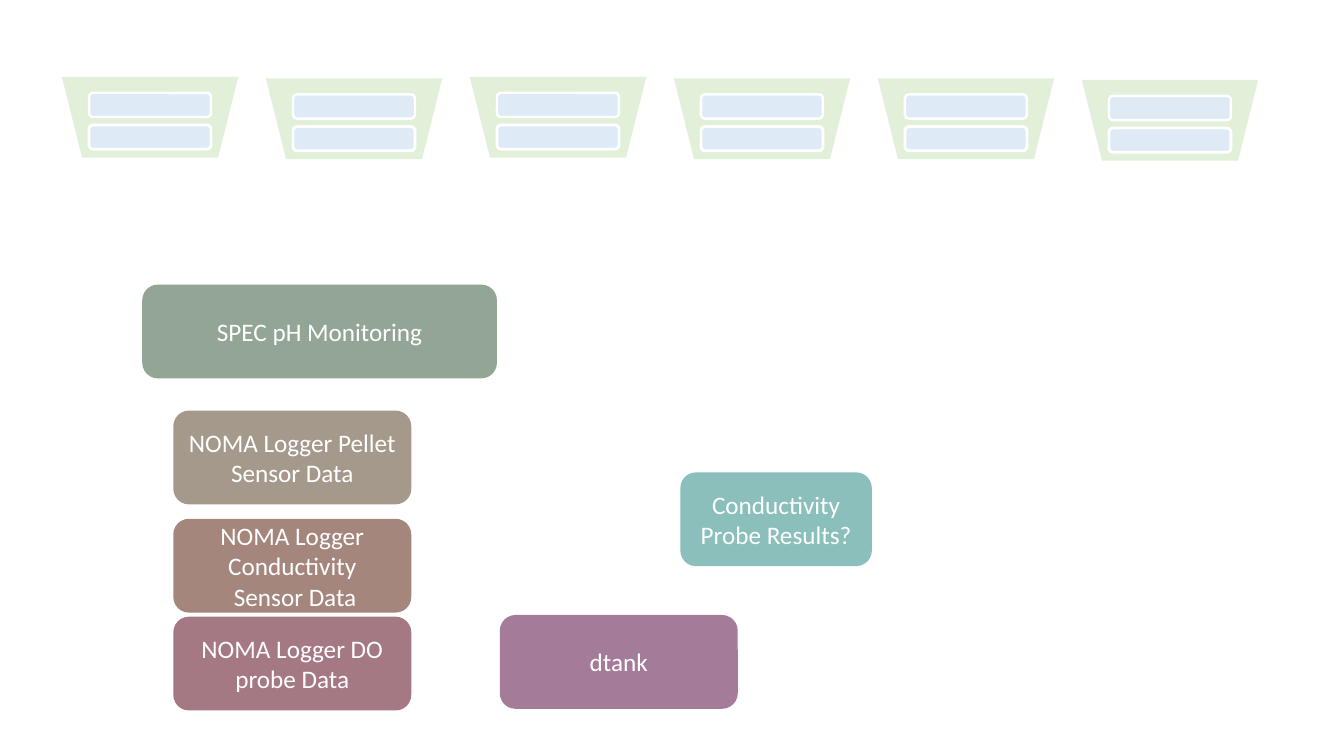
from pptx import Presentation
from pptx import util as u
from pptx.dml.color import RGBColor
from pptx.enum import shapes, text

WHITE = RGBColor(0xFF, 0xFF, 0xFF)
TANK_GREEN = RGBColor(0xE2, 0xF0, 0xD9)
TRAY_BLUE = RGBColor(0xDE, 0xEB, 0xF7)
SAGE = RGBColor(0x93, 0xA5, 0x94)
TAUPE = RGBColor(0xA5, 0x99, 0x8C)
CLAY = RGBColor(0xA5, 0x86, 0x7C)
ROSE = RGBColor(0xA5, 0x79, 0x83)
MAUVE = RGBColor(0xA5, 0x7B, 0x9A)
TEAL = RGBColor(0x8A, 0xBF, 0xBB)


class Board:
    """Holds the style and the current slide; lengths are in points."""
    font = "Calibri"
    size = 18
    box_height = 67

    def __init__(self, slide):
        self.slide = slide

    def block(self, kind, left, top, width, height, fill, border=0):
        block = self.slide.shapes.add_shape(
            kind, u.Pt(left), u.Pt(top), u.Pt(width), u.Pt(height))
        block.shadow.inherit = False
        block.fill.solid()
        block.fill.fore_color.rgb = fill
        if border:
            block.line.color.rgb = WHITE
            block.line.width = u.Pt(border)
        else:
            block.line.fill.background()
        return block

    def tank(self, left, top):
        basin = self.block(shapes.MSO_SHAPE.TRAPEZOID, left, top, 126, 57.6, TANK_GREEN)
        basin.rotation = 180
        for drop, border in ((11.4, 1.75), (34.4, 2)):
            self.block(shapes.MSO_SHAPE.ROUNDED_RECTANGLE,
                       left + 19.4, top + drop, 87.1, 17.3, TRAY_BLUE, border)

    def data_box(self, left, top, width, fill, *lines):
        box = self.block(shapes.MSO_SHAPE.ROUNDED_RECTANGLE,
                         left, top, width, self.box_height, fill)
        frame = box.text_frame
        frame.word_wrap = True
        frame.vertical_anchor = text.MSO_ANCHOR.MIDDLE
        for number, line in enumerate(lines):
            paragraph = frame.add_paragraph() if number else frame.paragraphs[0]
            paragraph.alignment = text.PP_ALIGN.CENTER
            run = paragraph.add_run()
            run.text = line
            run.font.name = self.font
            run.font.size = u.Pt(self.size)
            run.font.color.rgb = WHITE


deck = Presentation()
deck.slide_width, deck.slide_height = u.Pt(960), u.Pt(540)
board = Board(deck.slides.add_slide(deck.slide_layouts[6]))

# Row of tanks, evenly spaced, each with two trays
TANK_LEFT, TANK_STEP = 44.2, 145.7
for place, tank_top in enumerate((54.9, 56, 54.9, 56, 56, 57.1)):
    board.tank(TANK_LEFT + place * TANK_STEP, tank_top)

# Data sources
LOGGER_LEFT, LOGGER_WIDTH = 123.8, 170
board.data_box(486, 337.4, 136.8, TEAL, "Conductivity Probe Results?")
board.data_box(101.6, 203.3, 253.4, SAGE, "SPEC pH Monitoring")
for logger_top, colour, label in (
        (293.3, TAUPE, ["NOMA Logger Pellet Sensor Data"]),
        (370.6, CLAY, ["NOMA Logger Conductivity", " Sensor Data"]),
        (440.5, ROSE, ["NOMA Logger DO probe Data"])):
    board.data_box(LOGGER_LEFT, logger_top, LOGGER_WIDTH, colour, *label)
board.data_box(357, 439.3, LOGGER_WIDTH, MAUVE, "dtank")

deck.save("out.pptx")
